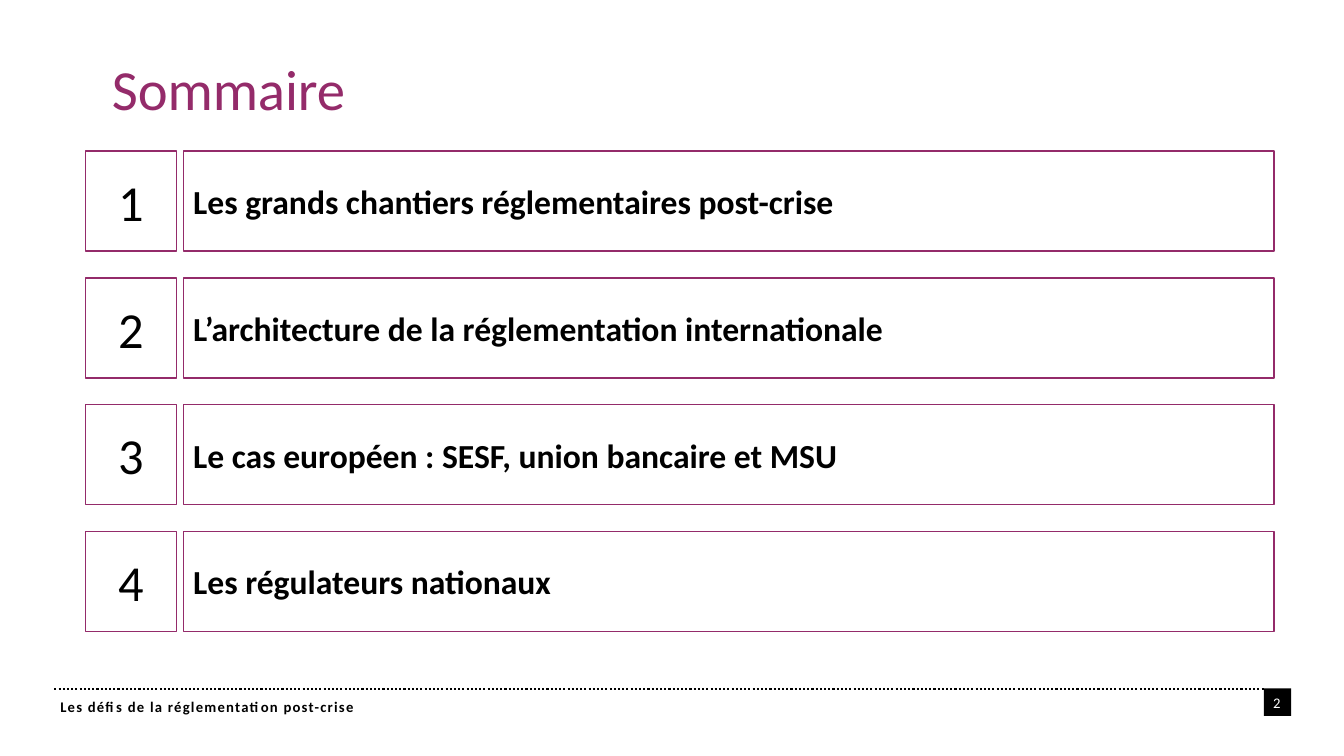
from pptx import Presentation
from pptx.dml.color import RGBColor
from pptx.enum.dml import MSO_LINE
from pptx.enum.shapes import MSO_CONNECTOR, MSO_SHAPE
from pptx.enum.text import MSO_ANCHOR, PP_ALIGN
from pptx.oxml.ns import qn
from pptx.util import Cm, Pt

RECT = MSO_SHAPE.RECTANGLE
LINE = MSO_CONNECTOR.STRAIGHT
DOTS = MSO_LINE.ROUND_DOT
MID, TOP = MSO_ANCHOR.MIDDLE, MSO_ANCHOR.TOP
LEFT, MIDDLE = PP_ALIGN.LEFT, PP_ALIGN.CENTER

PLUM, BLACK, WHITE = "942B6A", "000000", "FFFFFF"
TITLE = {"size": Pt(40.5), "bold": False}
DIGIT = {"size": Pt(36), "bold": False}
TOPIC = {"size": Pt(24), "bold": True}
FOOT = {"size": Pt(10.5), "bold": True}
PAGE = {"size": Pt(10.5), "bold": False}
TOPICS = [
    "Les grands chantiers réglementaires post-crise",
    "L’architecture de la réglementation internationale",
    "Le cas européen : SESF, union bancaire et MSU",
    "Les régulateurs nationaux",
]


def paint(part, color):
    """Set the colour of a font, or a solid fill."""
    if hasattr(part, "solid"):
        part.solid()
        part = part.fore_color
    else:
        part = part.color
    part.rgb = RGBColor.from_string(color)


def write(shape, text, style, color=BLACK, align=LEFT, anchor=TOP, track=0):
    """Put one styled line of text in a shape and return its paragraph."""
    frame = shape.text_frame
    frame.word_wrap = True
    frame.vertical_anchor = anchor
    para = frame.paragraphs[0]
    para.alignment = align
    run = para.add_run()
    run.text = text
    run.font.name = "Calibri"
    for name, value in style.items():
        setattr(run.font, name, value)
    paint(run.font, color)
    if track:
        run.font._element.set("spc", str(track))
    return para


def label(slide, box, *args, **opts):
    """Add a text box at a place given in centimetres."""
    shape = slide.shapes.add_textbox(*map(Cm, box))
    return write(shape, *args, **opts)


def block(slide, box, fill, edge=None):
    """Add a flat rectangle, with an outline if an edge colour is given."""
    shape = slide.shapes.add_shape(RECT, *map(Cm, box))
    shape.shadow.inherit = False
    paint(shape.fill, fill)
    if edge:
        paint(shape.line.fill, edge)
        shape.line.width = Pt(1)
    else:
        shape.line.fill.background()
    return shape


def agenda(slide, box, topics):
    """Stack numbered topics at an equal pitch in the box."""
    left, top, width, height = box
    tall, side, inset = 2.52, 2.3, 2.47
    pitch = (height - tall) / (len(topics) - 1)
    for i, topic in enumerate(topics):
        y = top + i * pitch
        cell = block(slide, (left, y, side, tall), WHITE, PLUM)
        write(cell, str(i + 1), DIGIT, align=MIDDLE, anchor=MID)
        bar = block(slide, (left + inset, y, width - inset, tall), WHITE, PLUM)
        write(bar, topic, TOPIC, anchor=MID)


def footer(slide, box, text, page):
    """Draw the dotted rule, the running title and the page number."""
    left, top, width, height = box
    side = 0.69
    edge = left + width - side
    rule = slide.shapes.add_connector(LINE, *map(Cm, (left, top, edge, top)))
    paint(rule.line.fill, BLACK)
    rule.line.width = Pt(1.5)
    rule.line.dash_style = DOTS
    props = rule._element.spPr
    props.append(props.makeelement(qn("a:effectLst"), {}))
    block(slide, (edge, top - 0.02, side, side), BLACK)
    label(slide, (edge - 0.32, top, 1.3, height), page, PAGE, WHITE, MIDDLE)
    label(slide, (left - 0.1, top + 0.08, 23.16, side), text, FOOT, track=90)


def build():
    """Build the summary slide and save it."""
    deck = Presentation()
    deck.slide_width, deck.slide_height = Cm(33.87), Cm(19.05)
    slide = deck.slides.add_slide(deck.slide_layouts[6])
    footer(slide, (1.37, 17.37, 31.17, 1.02),
           "Les défis de la réglementation post-crise", "2")
    agenda(slide, (2.15, 3.81, 29.96, 12.1), TOPICS)
    title = label(slide, (2.57, 1.55, 28.68, 2.84), "Sommaire", TITLE, PLUM,
                  track=-10)
    title.line_spacing = 0.81
    deck.save("out.pptx")


if __name__ == "__main__":
    build()
